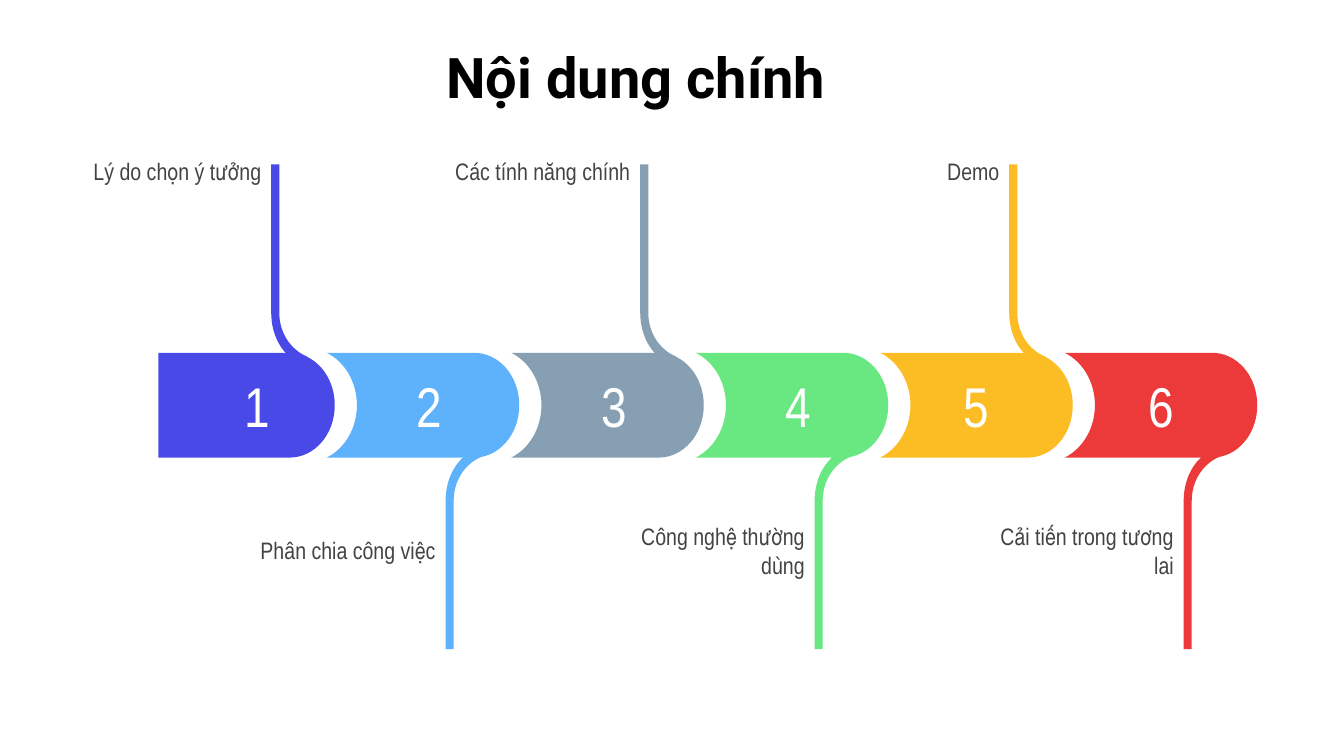
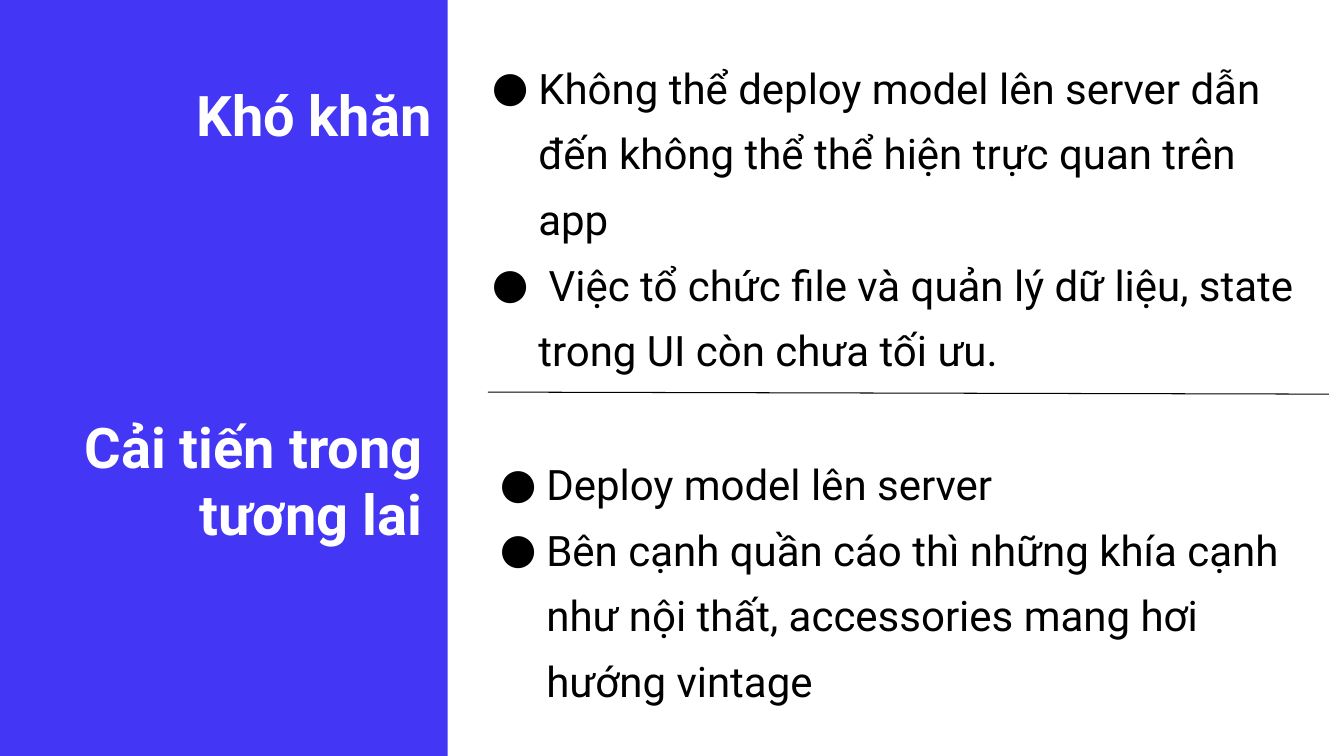
from typing import NamedTuple

import pptx
import pptx.dml.color
import pptx.enum.shapes
import pptx.enum.text
import pptx.oxml.ns
import pptx.util
from lxml import etree

Inches = pptx.util.Inches
qn = pptx.oxml.ns.qn
ALIGN = pptx.enum.text.PP_ALIGN
ANCHOR = pptx.enum.text.MSO_ANCHOR

# Shared look
BLACK, WHITE, GREY, BLUE = "000000", "FFFFFF", "434343", "4336F4"
HEAD_FONT, STEP_FONT = "Roboto", "Arial Narrow"
HEAD_SIZE, LABEL_SIZE, BODY_SIZE = 40, 17, 30

# Timeline geometry
FIRST_LEFT, PITCH = 1.41, 1.83
POD_TOP, POD_MID, POD_BOTTOM = 3.5, 4.02, 4.54
STEM_TOP, STEM_MIRROR = 1.63, 8.07
LABEL_HEIGHT = 0.76

# A segment is a list of points: one for a straight line,
# two handles and an end for a cubic curve
Segment = list[tuple[float, float]]


class Style(NamedTuple):
    font: str
    size: float
    color: str
    bold: bool = False
    align: ALIGN = ALIGN.LEFT


class Step(NamedTuple):
    number: str
    label: str
    color: str


class Topic(NamedTuple):
    heading: str
    heading_at: tuple[float, float]
    points: list[str]
    points_at: tuple[float, float]


STEPS = [
    Step("1", "Lý do chọn ý tưởng", "4949E7"),
    Step(" 2", "Phân chia công việc", "5EB2FC"),
    Step(" 3", "Các tính năng chính", "869FB2"),
    Step(" 4", "Công nghệ thường dùng", "69E781"),
    Step("5", "Demo", "FCBD24"),
    Step("6", "Cải tiến trong tương lai", "EC3A3B"),
]
TOPICS = [
    Topic("Khó khăn", (0.5, 0.37),
          ["Không thể deploy model lên server dẫn đến không thể thể hiện trực quan trên app",
           " Việc tổ chức file và quản lý dữ liệu, state trong UI còn chưa tối ưu."],
          (4.74, 0.37)),
    Topic("Cải tiến trong tương lai", (0.41, 4),
          ["Deploy model lên server",
           "Bên cạnh quần cáo thì những khía cạnh như nội thất, accessories mang hơi hướng vintage"],
          (4.82, 4.3)),
]


def rgb(value: str) -> pptx.dml.color.RGBColor:
    return pptx.dml.color.RGBColor.from_string(value)


def fill(s, color: str) -> None:
    s.shadow.inherit = False
    s.fill.solid()
    s.fill.fore_color.rgb = rgb(color)
    s.line.fill.background()


def add_bullet(p) -> None:
    pPr = p._p.get_or_add_pPr()
    pPr.set("marL", str(Inches(0.5)))
    pPr.set("indent", str(Inches(-0.46)))
    color = etree.SubElement(pPr, qn("a:buClr"))
    etree.SubElement(color, qn("a:srgbClr"), val=BLACK)
    etree.SubElement(pPr, qn("a:buFont"), typeface=HEAD_FONT)
    etree.SubElement(pPr, qn("a:buChar"), char="●")
    p.line_spacing = 1.3


def set_text(tf, lines: list[str], style: Style, anchor=ANCHOR.MIDDLE,
             inset: float = 0.1, bullets: bool = False) -> None:
    tf.word_wrap = True
    tf.vertical_anchor = anchor
    tf.margin_left = tf.margin_right = tf.margin_top = tf.margin_bottom = Inches(inset)
    tf.text = "\n".join(lines)
    for p in tf.paragraphs:
        if bullets:
            add_bullet(p)
        p.alignment = style.align
        for r in p.runs:
            r.font.name = style.font
            r.font.size = pptx.util.Pt(style.size)
            r.font.bold = style.bold
            r.font.color.rgb = rgb(style.color)


def add_text(slide, box: tuple[float, float, float, float], lines: list[str],
             style: Style, **options) -> None:
    s = slide.shapes.add_textbox(*map(Inches, box))
    set_text(s.text_frame, lines, style, **options)


def add_outline(slide, left: float, segments: list[Segment], color: str,
                mirror: float | None = None):
    """Draw a closed outline, shifted to left and flipped if mirror is given."""
    placed = [[(Inches(left + x), Inches(y if mirror is None else mirror - y))
               for x, y in segment] for segment in segments]
    builder = slide.shapes.build_freeform(*placed[0][-1])
    builder.add_line_segments([segment[-1] for segment in placed[1:]], close=True)
    s = builder.convert_to_shape()
    # Bend the lines that stand for curves
    lines = list(s._element.iter(qn("a:lnTo")))
    for line, segment in zip(lines, placed[1:]):
        if len(segment) == 3:
            curve = etree.Element(qn("a:cubicBezTo"))
            for x, y in segment:
                etree.SubElement(curve, qn("a:pt"), x=str(x - s.left), y=str(y - s.top))
            line.getparent().replace(line, curve)
    fill(s, color)
    return s


def add_stem(slide, left: float, up: bool, color: str) -> None:
    segments = [
        [(0, STEM_TOP)], [(0, 3.1)],
        [(0, 3.32), (0.1, 3.51), (0.27, 3.6)],
        [(0.36, 3.6)], [(0.36, 3.54)],
        [(0.19, 3.47), (0.08, 3.3), (0.08, 3.1)],
        [(0.08, STEM_TOP)],
    ]
    add_outline(slide, left, segments, color, None if up else STEM_MIRROR)


def add_pod(slide, left: float, step: Step, first: bool) -> None:
    if first:
        tail = [[(0.16, POD_TOP)], [(0.16, POD_BOTTOM)]]
    else:
        tail = [[(0, POD_TOP)],
                [(0.18, 3.59), (0.3, 3.79), (0.3, POD_MID)],
                [(0.3, 4.25), (0.18, 4.45), (0, POD_BOTTOM)]]
    nose = [[(1.46, POD_BOTTOM)],
            [(1.71, POD_BOTTOM), (1.91, 4.31), (1.91, POD_MID)],
            [(1.91, 3.73), (1.71, POD_TOP), (1.46, POD_TOP)]]
    s = add_outline(slide, left, tail + nose, step.color)
    align = ALIGN.LEFT if first else ALIGN.CENTER
    set_text(s.text_frame, [step.number], Style(STEP_FONT, HEAD_SIZE, WHITE, align=align))
    if first:
        s.text_frame.margin_left = Inches(0.86)


def add_step(slide, i: int, step: Step) -> None:
    left = FIRST_LEFT + PITCH * i
    up = i % 2 == 0
    stem_offset, label_top, label_width = (1.28, 1.32, 2.02) if up else (1.18, 5.08, 2.16)
    stem = left + stem_offset
    add_stem(slide, stem, up, step.color)
    add_pod(slide, left, step, i == 0)
    add_text(slide, (stem - label_width, label_top, label_width, LABEL_HEIGHT),
             [step.label], Style(STEP_FONT, LABEL_SIZE, GREY, align=ALIGN.RIGHT))


def build_contents(slide) -> None:
    add_text(slide, (4.33, 0.32, 4.27, 0.94), ["Nội dung chính"],
             Style(HEAD_FONT, HEAD_SIZE, BLACK, bold=True), anchor=ANCHOR.TOP)
    for i, step in enumerate(STEPS):
        add_step(slide, i, step)


def build_topics(slide, height: int) -> None:
    # Side band
    band = slide.shapes.add_shape(pptx.enum.shapes.MSO_SHAPE.RECTANGLE,
                                  0, 0, Inches(4.44), height)
    fill(band, BLUE)

    # Headings and their points
    for topic in TOPICS:
        add_text(slide, (*topic.heading_at, 3.78, 1.52), [topic.heading],
                 Style(HEAD_FONT, HEAD_SIZE, WHITE, True, ALIGN.RIGHT), inset=0)
        add_text(slide, (*topic.points_at, 8.31, 0.74), topic.points,
                 Style(HEAD_FONT, BODY_SIZE, BLACK), anchor=ANCHOR.TOP, bullets=True)

    # Divider
    line = slide.shapes.add_connector(pptx.enum.shapes.MSO_CONNECTOR.STRAIGHT,
                                      Inches(4.84), Inches(3.89), Inches(13.18), Inches(3.91))
    line.line.color.rgb = rgb(BLACK)
    line.line.width = pptx.util.Pt(0.75)
    etree.SubElement(line._element.spPr, qn("a:effectLst"))


def main() -> None:
    prs = pptx.Presentation()
    prs.slide_width, prs.slide_height = Inches(13.33), Inches(7.5)
    blank = prs.slide_layouts[6]
    build_contents(prs.slides.add_slide(blank))
    build_topics(prs.slides.add_slide(blank), prs.slide_height)
    prs.save("out.pptx")


if __name__ == "__main__":
    main()
